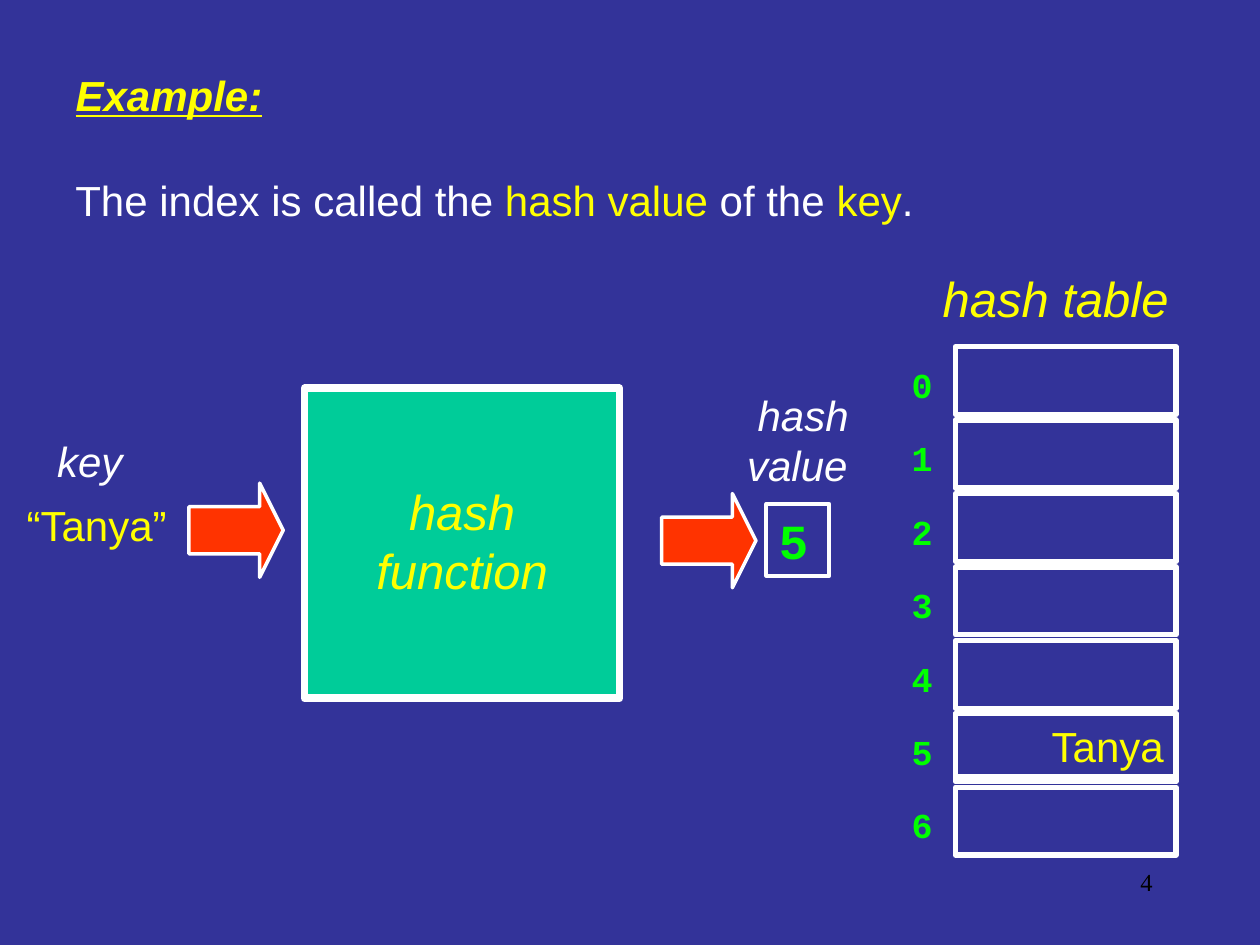
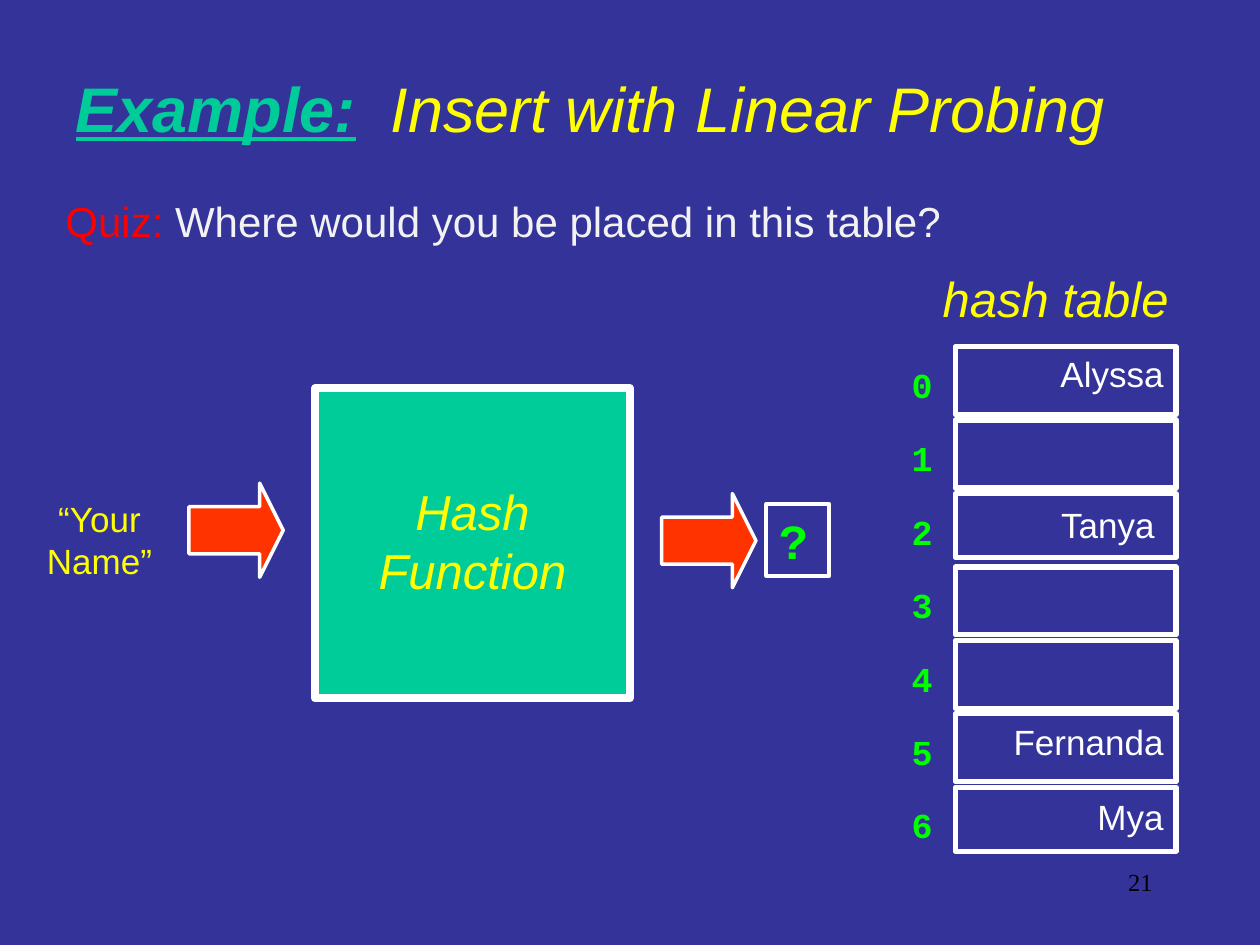
"""Build two slides that show how a hash function fills a hash table."""
from pptx import Presentation
from pptx.dml.color import RGBColor
from pptx.enum.shapes import MSO_SHAPE as Shape
from pptx.enum.text import MSO_ANCHOR as Anchor, MSO_AUTO_SIZE as AutoSize, PP_ALIGN as Align
from pptx.util import Cm, Pt

NAVY = RGBColor(0x33, 0x33, 0x99)
YELLOW = RGBColor(0xFF, 0xFF, 0x00)
WHITE = RGBColor(0xFF, 0xFF, 0xFF)
PALE = RGBColor(0xF2, 0xF2, 0xF2)
GREEN = RGBColor(0x00, 0xFF, 0x00)
TEAL = RGBColor(0x00, 0xCC, 0x99)
ORANGE = RGBColor(0xFF, 0x33, 0x00)
RED = RGBColor(0xFF, 0x00, 0x00)
BLACK = RGBColor(0x00, 0x00, 0x00)

SANS, MONO, SERIF = "Arial", "Courier New", "Times New Roman"

ROW_COUNT = 7
ROW_LEFT, ROW_TOP, ROW_WIDTH, ROW_HEIGHT, ROW_STEP = 19.26, 6.99, 4.45, 1.37, 1.48


def add_span(para, text, size=24, font=SANS, color=YELLOW, bold=False,
             italic=False, underline=False, spacing=None):
    span = para.add_run()
    span.text = text
    style = span.font
    style.size, style.name = Pt(size), font
    style.bold, style.italic, style.underline = bold, italic, underline
    style.color.rgb = color
    if spacing:
        span._r.get_or_add_rPr().set("spc", str(spacing * 100))


class HashDeck:
    def __init__(self):
        self.deck = Presentation()
        self.deck.slide_width, self.deck.slide_height = Cm(25.4), Cm(19.05)
        fill = self.deck.slide_master.background.fill
        fill.solid()
        fill.fore_color.rgb = NAVY
        self.page = None

    def start(self, number, title, height, **style):
        self.page = self.deck.slides.add_slide(self.deck.slide_layouts[5])
        box = self.page.shapes.title
        box.left, box.top, box.width, box.height = map(Cm, (1.27, 1.27, 22.23, height))
        self.set_text(box, title, **style)
        self.label(number, 18.2, 17.36, 5.29, 1.27, align=Align.RIGHT,
                   size=14, font=SERIF, color=BLACK)

    def set_text(self, box, text, align=Align.LEFT, wrap=True, **style):
        frame = box.text_frame
        frame.word_wrap = wrap
        frame.auto_size = AutoSize.NONE
        frame.vertical_anchor = Anchor.TOP
        para = frame.paragraphs[0]
        para.alignment = align
        spans = [(text, {})] if isinstance(text, str) else text
        for words, changes in spans:
            add_span(para, words, **{**style, **changes})

    def label(self, text, left, top, width, height, **style):
        box = self.page.shapes.add_textbox(Cm(left), Cm(top), Cm(width), Cm(height))
        self.set_text(box, text, **style)

    def outline(self, kind, left, top, width, height, weight, fill=None):
        shape = self.page.shapes.add_shape(kind, Cm(left), Cm(top), Cm(width), Cm(height))
        shape.shadow.inherit = False
        if fill is None:
            shape.fill.background()
        else:
            shape.fill.solid()
            shape.fill.fore_color.rgb = fill
        shape.line.color.rgb = WHITE
        shape.line.width = Pt(weight)
        return shape

    def arrow(self, left, top):
        shape = self.outline(Shape.RIGHT_ARROW, left, top, 1.9, 1.9, 2, ORANGE)
        shape.adjustments[0], shape.adjustments[1] = 0.5, 0.25

    def hash_function(self, text, left, result):
        self.arrow(3.81, 9.74)
        self.arrow(13.34, 9.95)
        block = self.outline(Shape.RECTANGLE, left, 7.83, 6.35, 6.25, 4.5, TEAL)
        self.set_text(block, text, align=Align.CENTER, size=28, italic=True)
        block.text_frame.margin_top = Cm(1.88)
        slot = self.outline(Shape.RECTANGLE, 15.45, 10.16, 1.27, 1.45, 2.25)
        self.set_text(slot, result, size=28, font=MONO, color=GREEN, bold=True)

    def hash_table(self, short_rows=()):
        self.label("hash table", 18.42, 5.29, 5.72, 1.45, align=Align.CENTER,
                   size=28, italic=True)
        for row in range(ROW_COUNT):
            top = ROW_TOP + row * ROW_STEP
            height = 1.29 if row in short_rows else ROW_HEIGHT
            self.outline(Shape.RECTANGLE, ROW_LEFT, top, ROW_WIDTH, height, 3)
            self.label(str(row), 16.93, top + 0.21, 2.12, 1.11, align=Align.RIGHT,
                       size=20, font=MONO, color=GREEN, bold=True)

    def entry(self, name, row, shift=0, drop=0):
        self.label(name, ROW_LEFT + shift, ROW_TOP + row * ROW_STEP + drop, ROW_WIDTH, 1.11,
                   align=Align.RIGHT, size=20, color=WHITE)

    def framed_entry(self, name, row):
        box = self.outline(Shape.RECTANGLE, ROW_LEFT, ROW_TOP + row * ROW_STEP,
                           ROW_WIDTH, 1.27, 3)
        self.set_text(box, name, align=Align.RIGHT)


def add_hash_value_page(deck):
    deck.start("4", "Example:", 1.27, bold=True, italic=True, underline=True)
    yellow = {"color": YELLOW}
    deck.label([("The index is called the ", {}), ("hash value", yellow),
                (" of the ", {}), ("key", yellow), (".", {})],
               1.27, 3.4, 17.63, 1.27, color=WHITE)
    deck.label("key", 0.89, 8.66, 1.83, 1.27, align=Align.RIGHT, wrap=False,
               color=WHITE, italic=True)
    deck.label("“Tanya”", -0.2, 9.95, 3.81, 1.27, align=Align.RIGHT)
    deck.hash_function("hash function", 6.14, "5")
    deck.label("hash value ", 14.78, 7.72, 2.82, 2.29, align=Align.CENTER,
               color=WHITE, italic=True)
    deck.hash_table()
    deck.framed_entry("Tanya", 5)


def add_linear_probing_page(deck):
    deck.start("21", [("Example:", {"color": TEAL, "bold": True, "underline": True}),
                      (" ", {"spacing": 10}), ("Insert with Linear Probing", {})],
               1.78, size=36, italic=True)
    deck.label([("Quiz: ", {"color": RED}),
                ("Where would you be placed in this table?", {})],
               1.07, 3.81, 23.5, 1.27, color=PALE)
    deck.label("“Your Name”", 0.1, 9.91, 3.81, 1.96, align=Align.CENTER, size=20)
    deck.hash_function("Hash Function", 6.35, "?")
    deck.hash_table(short_rows=(2, 6))
    deck.entry("Alyssa", 0)
    deck.entry("Tanya", 2, shift=-0.18, drop=0.08)
    deck.entry("Fernanda", 5)
    deck.entry("Mya", 6, drop=0.05)


def main():
    deck = HashDeck()
    add_hash_value_page(deck)
    add_linear_probing_page(deck)
    deck.deck.save("out.pptx")


if __name__ == "__main__":
    main()
